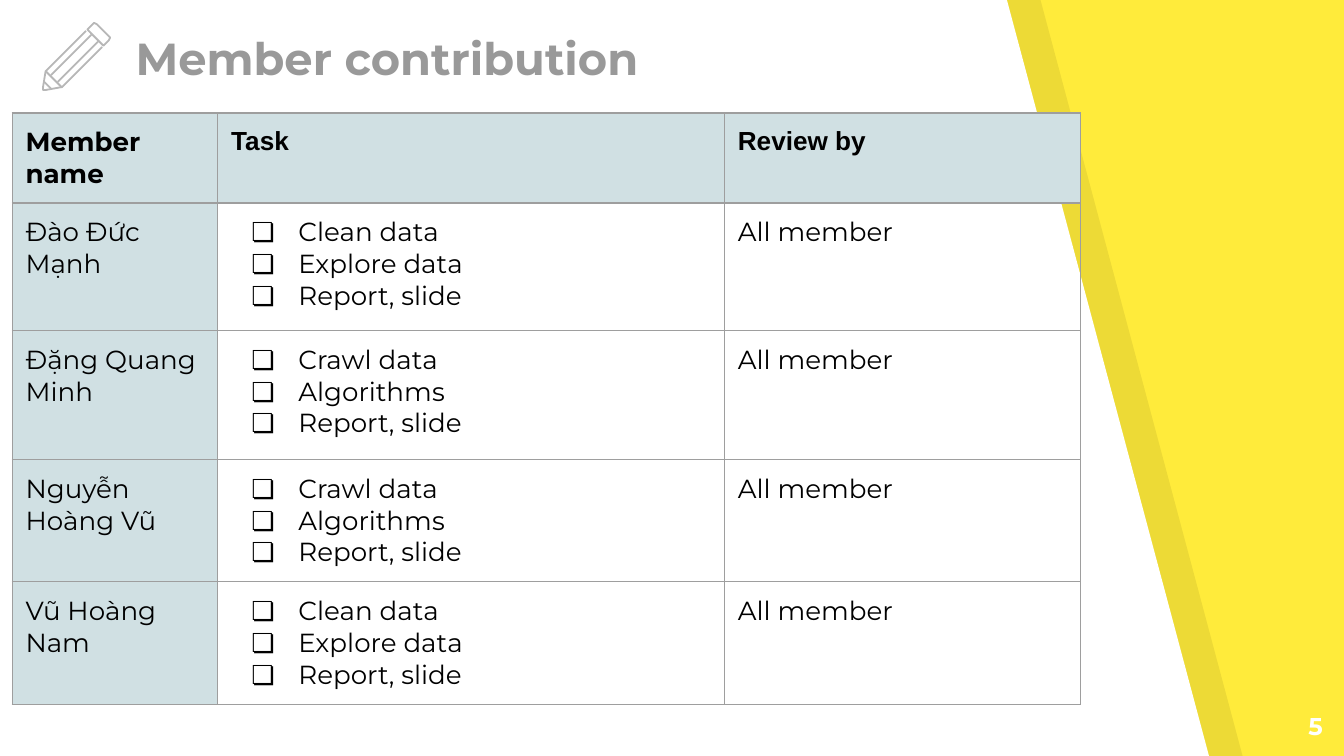
from lxml import etree
from pptx import Presentation
from pptx.dml.color import RGBColor
from pptx.enum.text import MSO_ANCHOR, PP_ALIGN
from pptx.oxml.ns import qn
from pptx.util import Inches, Pt

LEFT, RIGHT = PP_ALIGN.LEFT, PP_ALIGN.RIGHT
TOP, BOTTOM = MSO_ANCHOR.TOP, MSO_ANCHOR.BOTTOM
FONT = "Montserrat"
YELLOW, WHITE, BLACK = "FFEB3B", "FFFFFF", "000000"
GREY, PALE, EDGE, BLUE = "999999", "B7B7B7", "9E9E9E", "D0E0E3"

HEAD = ["Member name", "Task", "Review by"]
DATA = ["Clean data", "Explore data", "Report, slide"]
CODE = ["Crawl data", "Algorithms", "Report, slide"]
MEMBERS = [
    ("Đào Đức Mạnh", DATA),
    ("Đặng Quang Minh", CODE),
    ("Nguyễn Hoàng Vũ", CODE),
    ("Vũ Hoàng Nam", DATA),
]
COLS = [1.53, 3.77, 2.65]
ROWS = [0.67, 0.95, 0.96, 0.91, 0.91]

# Pencil strokes, relative to the icon's box: points and whether closed
PENCIL = [
    ([(0.49, 0.1), (0.4, 0.01), (0.38, 0), (0.37, 0.01), (0.33, 0.05),
      (0.45, 0.17), (0.49, 0.13), (0.5, 0.11)], True),
    ([(0.41, 0.14), (0.11, 0.44)], False),
    ([(0.32, 0.06), (0.02, 0.36), (0, 0.48), (0, 0.5), (0.02, 0.5),
      (0.13, 0.48), (0.14, 0.48), (0.44, 0.18)], False),
    ([(0.06, 0.39), (0.36, 0.09)], False),
    ([(0.06, 0.49), (0.01, 0.44)], False),
    ([(0.02, 0.36), (0.14, 0.48)], False),
]


def color(code):
    return RGBColor.from_string(code)


def outline(slide, x, y, points, closed=True):
    spots = [(Inches(x + dx), Inches(y + dy)) for dx, dy in points]
    pen = slide.shapes.build_freeform(*spots[0])
    pen.add_line_segments(spots[1:], close=closed)
    shape = pen.convert_to_shape()
    shape.shadow.inherit = False
    return shape


def style(frame, size, code, bold=False, font=FONT, align=LEFT):
    for par in frame.paragraphs:
        par.alignment = align
        for run in par.runs:
            run.font.name, run.font.size = font, Pt(size)
            run.font.bold = bold
            run.font.color.rgb = color(code)


def label(slide, box, text, size, code, anchor=TOP, align=LEFT):
    frame = slide.shapes.add_textbox(*map(Inches, box)).text_frame
    frame.word_wrap = True
    frame.vertical_anchor = anchor
    frame.margin_left = frame.margin_right = Inches(0.1)
    frame.margin_top = frame.margin_bottom = Inches(0.1)
    frame.text = text
    style(frame, size, code, bold=True, align=align)


def backdrop(slide):
    """White page with a slanted right edge and its faint shade."""
    fill = slide.background.fill
    fill.solid()
    fill.fore_color.rgb = color(YELLOW)
    page = [(0, 0), (0, 5.65), (9, 5.65), (7.49, 0)]
    for x, code, alpha in [(0.25, BLACK, 7), (0, WHITE, 100)]:
        shape = outline(slide, x, -0.01, page)
        shape.fill.solid()
        shape.fill.fore_color.rgb = color(code)
        shape.line.fill.background()
        if alpha < 100:
            tint = shape.element.spPr.find(".//" + qn("a:srgbClr"))
            etree.SubElement(tint, qn("a:alpha"), val=str(alpha * 1000))


def pencil(slide, x, y):
    for points, closed in PENCIL:
        shape = outline(slide, x, y, points, closed)
        shape.fill.background()
        shape.line.color.rgb = color(PALE)
        shape.line.width = Pt(0.96)


def border(cell):
    props = cell._tc.get_or_add_tcPr()
    for side in ("a:lnL", "a:lnR", "a:lnT", "a:lnB"):
        line = etree.SubElement(props, qn(side), w=str(Pt(0.75)))
        fill = etree.SubElement(line, qn("a:solidFill"))
        etree.SubElement(fill, qn("a:srgbClr"), val=EDGE)


def bullet(par):
    props = par._p.get_or_add_pPr()
    props.set("marL", str(Inches(0.5)))
    props.set("indent", str(Inches(-0.35)))
    tint = etree.SubElement(props, qn("a:buClr"))
    etree.SubElement(tint, qn("a:srgbClr"), val=BLACK)
    etree.SubElement(props, qn("a:buFont"), typeface=FONT)
    etree.SubElement(props, qn("a:buChar"), char="❏")


def fill_cell(cell, text, shade=False, bold=False, font=FONT):
    cell.margin_left = cell.margin_right = Inches(0.1)
    cell.margin_top = cell.margin_bottom = Inches(0.1)
    border(cell)
    if shade:
        cell.fill.solid()
        cell.fill.fore_color.rgb = color(BLUE)
    else:
        cell.fill.background()
    cell.text_frame.text = text
    style(cell.text_frame, 14, BLACK, bold, font)


def task_table(slide, x, y):
    box = map(Inches, (x, y, sum(COLS), sum(ROWS)))
    table = slide.shapes.add_table(len(ROWS), len(COLS), *box).table
    table.first_row = table.horz_banding = False
    for col, width in zip(table.columns, COLS):
        col.width = Inches(width)
    for row, height in zip(table.rows, ROWS):
        row.height = Inches(height)
    for c, text in enumerate(HEAD):
        font = "Arial" if c else FONT
        fill_cell(table.cell(0, c), text, shade=True, bold=True, font=font)
    for r, (name, tasks) in enumerate(MEMBERS, 1):
        fill_cell(table.cell(r, 0), name, shade=True)
        fill_cell(table.cell(r, 1), "\n".join(tasks))
        for par in table.cell(r, 1).text_frame.paragraphs:
            bullet(par)
        fill_cell(table.cell(r, 2), "All member")


def main():
    deck = Presentation()
    deck.slide_width, deck.slide_height = Inches(10), Inches(5.625)
    slide = deck.slides.add_slide(deck.slide_layouts[6])
    backdrop(slide)
    label(slide, (9.34, 5.19, 0.6, 0.43), "5", 13, WHITE, align=RIGHT)
    label(slide, (0.91, 0.2, 5.82, 0.53), "Member contribution", 24, GREY,
          anchor=BOTTOM)
    pencil(slide, 0.32, 0.17)
    task_table(slide, 0.09, 0.84)
    deck.save("out.pptx")


if __name__ == "__main__":
    main()
